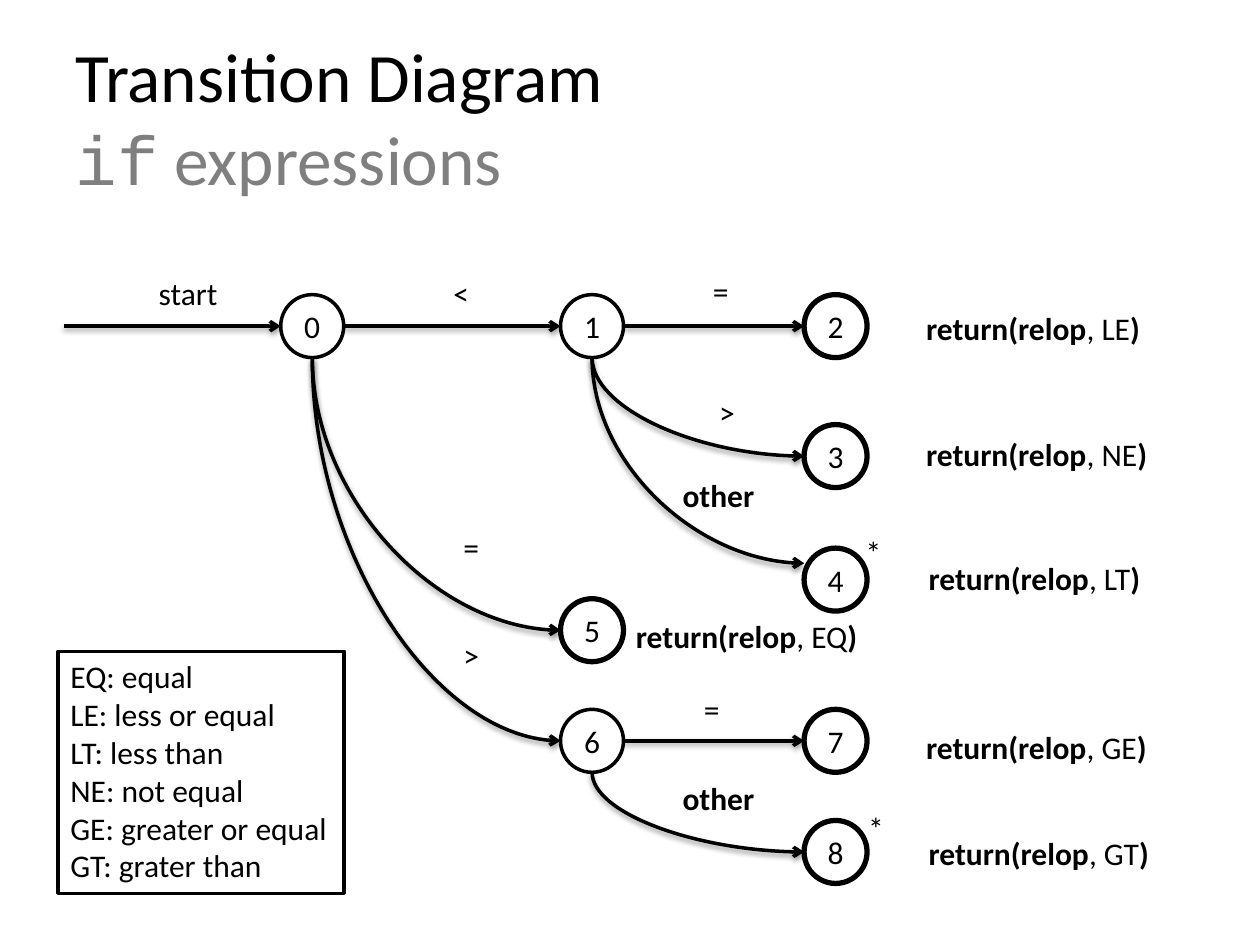
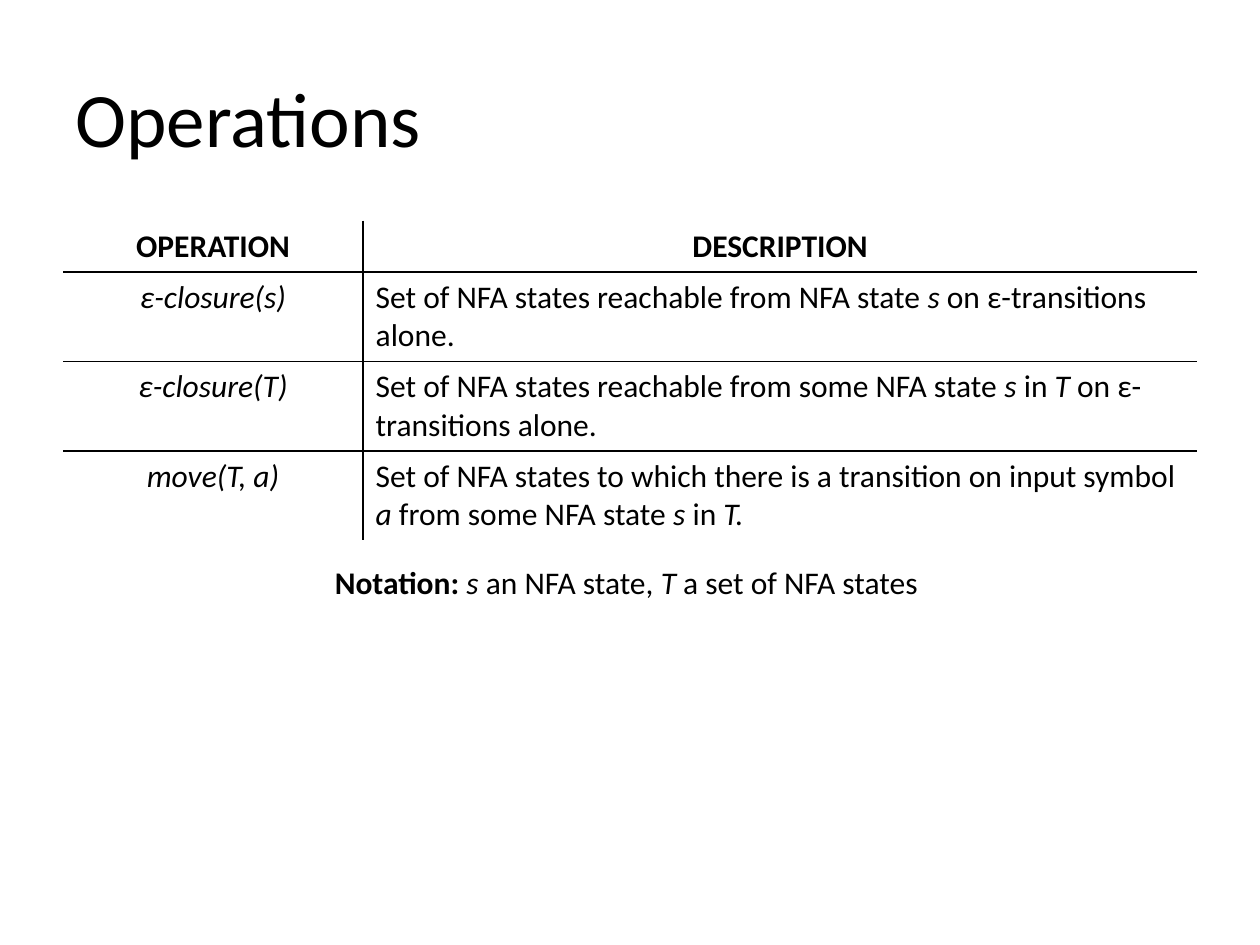
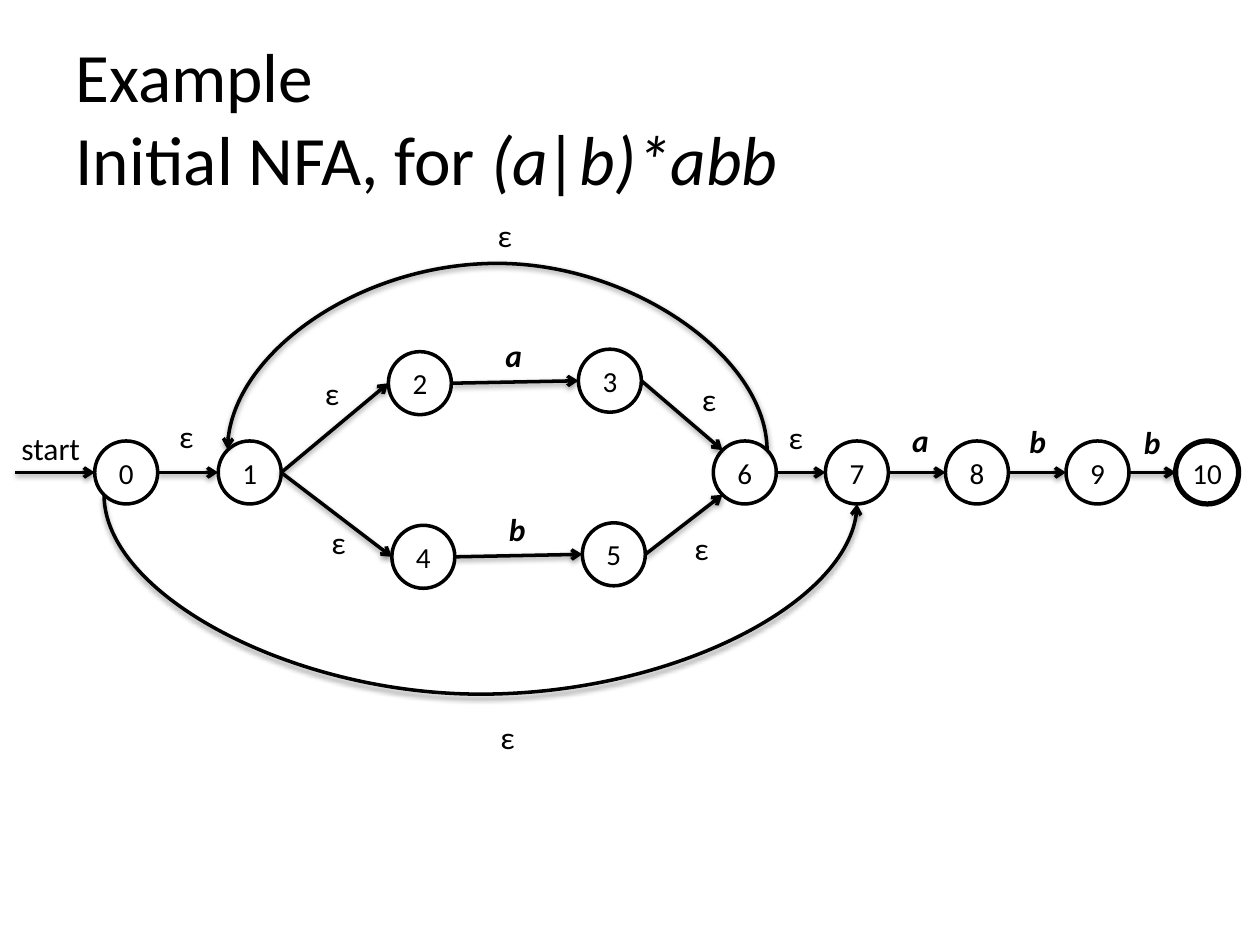
import math
from dataclasses import dataclass
from enum import IntEnum

from lxml import etree
from pptx import Presentation
from pptx import util as u
from pptx.dml.color import RGBColor
from pptx.enum import shapes, text
from pptx.oxml.ns import qn

COLORS = {"ink": "000000", "muted": "7F7F7F", "paper": "FFFFFF"}
BODY_FONT, CODE_FONT = "Calibri", "Courier New"
TITLE_SIZE, TWO_LINE_TITLE_SIZE, BODY_SIZE = 44, 39.6, 18
TITLE_ONLY = 5
NODE_SIZE = 1.27
LABEL_HEIGHT = 1.02
LABEL_WIDTHS = {"start": 1.73, "other": 1.98}
SYMBOL_WIDTH, ACTION_WIDTH = 0.84, 5
PLAIN_TABLE_STYLE = "{2D5ABB26-0587-4C30-8999-92F81FD0307C}"


@dataclass
class Box:
    left: float
    top: float
    width: float
    height: float

    def inner(self, x, y, width, height):
        return Box(self.left + x, self.top + y, width, height)

    def lengths(self):
        return [u.Cm(value) for value in (self.left, self.top, self.width, self.height)]


class Site(IntEnum):
    TOP = 0
    TOP_LEFT = 1
    LEFT = 2
    BOTTOM_LEFT = 3
    BOTTOM = 4
    BOTTOM_RIGHT = 5
    RIGHT = 6
    TOP_RIGHT = 7


def color(name):
    return RGBColor.from_string(COLORS[name])


def style_paragraph(paragraph, size=BODY_SIZE, align=text.PP_ALIGN.LEFT):
    paragraph.alignment = align
    paragraph.font.name = BODY_FONT
    paragraph.font.size = u.Pt(size)
    paragraph.font.color.rgb = color("ink")


def write(paragraph, pieces, size=BODY_SIZE, align=text.PP_ALIGN.LEFT):
    style_paragraph(paragraph, size, align)
    for words, style in pieces:
        run = paragraph.add_run()
        run.text = words
        if "b" in style:
            run.font.bold = True
        if "i" in style:
            run.font.italic = True
        if "m" in style:
            run.font.color.rgb = color("muted")
        if "c" in style:
            run.font.name = CODE_FONT


def add_titled_slide(presentation, lines, size):
    slide = presentation.slides.add_slide(presentation.slide_layouts[TITLE_ONLY])
    title = slide.shapes.title
    title.left, title.top, title.width, title.height = Box(1.27, 0.76, 22.86, 3.18).lengths()
    frame = title.text_frame
    frame.auto_size = text.MSO_AUTO_SIZE.NONE
    frame.vertical_anchor = text.MSO_ANCHOR.MIDDLE
    paragraph = frame.paragraphs[0]
    for index, pieces in enumerate(lines):
        if index:
            paragraph.add_line_break()
        write(paragraph, pieces, size)
    return slide


def add_text(slide, box, pieces):
    frame = slide.shapes.add_textbox(*box.lengths()).text_frame
    frame.word_wrap = False
    write(frame.paragraphs[0], pieces)


def add_labels(slide, box, labels):
    for words, style, x, y in labels:
        width = LABEL_WIDTHS.get(words, SYMBOL_WIDTH)
        add_text(slide, box.inner(x, y, width, LABEL_HEIGHT), [(words, style)])


def add_outlined_shape(slide, kind, box, line_width):
    shape = slide.shapes.add_shape(kind, *box.lengths())
    shape.shadow.inherit = False
    shape.fill.solid()
    shape.fill.fore_color.rgb = color("paper")
    shape.line.color.rgb = color("ink")
    shape.line.width = u.Pt(line_width)
    shape.text_frame.word_wrap = False
    return shape


def add_nodes(slide, box, positions, accepting, size):
    nodes = {}
    for name, (x, y) in positions.items():
        node_box = box.inner(x, y, NODE_SIZE, NODE_SIZE)
        node = add_outlined_shape(slide, shapes.MSO_SHAPE.OVAL, node_box, 3 if name in accepting else 2)
        node.text_frame.vertical_anchor = text.MSO_ANCHOR.MIDDLE
        write(node.text_frame.paragraphs[0], [(str(name), "")], size, text.PP_ALIGN.CENTER)
        nodes[name] = node
    return nodes


def site_point(node, site):
    radius = node.width / 2
    angle = site * math.pi / 4
    return (round(node.left + radius - radius * math.sin(angle)),
            round(node.top + radius - radius * math.cos(angle)))


def add_arrow(slide, start, end, kind=shapes.MSO_CONNECTOR.STRAIGHT):
    arrow = slide.shapes.add_connector(kind, *start, *end)
    arrow.line.color.rgb = color("ink")
    arrow.line.width = u.Pt(2)
    properties = arrow._element.spPr
    etree.SubElement(properties.find(qn("a:ln")), qn("a:tailEnd"), type="arrow")
    effects = etree.SubElement(properties, qn("a:effectLst"))
    shadow = etree.SubElement(effects, qn("a:outerShdw"), blurRad="40000", dist="20000",
                              dir="5400000", rotWithShape="0")
    shade = etree.SubElement(shadow, qn("a:srgbClr"), val=COLORS["ink"])
    etree.SubElement(shade, qn("a:alpha"), val="38000")
    return arrow


def glue(arrow, tag, node, site):
    ends = arrow._element.nvCxnSpPr.cNvCxnSpPr
    etree.SubElement(ends, qn(tag), id=str(node.shape_id), idx=str(int(site)))


def add_link(slide, source, target, source_site=Site.RIGHT, target_site=Site.LEFT):
    arrow = add_arrow(slide, site_point(source, source_site), site_point(target, target_site))
    glue(arrow, "a:stCxn", source, source_site)
    glue(arrow, "a:endCxn", target, target_site)


def add_curve(slide, source, target, source_site=Site.BOTTOM, target_site=Site.LEFT,
              depth=None, raised=0):
    start, (end_x, end_y) = site_point(source, source_site), site_point(target, target_site)
    end = end_x, end_y - u.Cm(raised)
    arrow = add_arrow(slide, start, end, shapes.MSO_CONNECTOR.CURVE)
    rise = max(abs(end[1] - start[1]), u.Cm(0.03))
    run = abs(end[0] - start[0])
    frame = arrow._element.spPr.find(qn("a:xfrm"))
    for flip in ("flipH", "flipV"):
        frame.attrib.pop(flip, None)
    frame.set("rot", "16200000")
    frame.set("flipH" if end[0] > start[0] else "flipV", "1")
    arrow.left = round((start[0] + end[0] - rise) / 2)
    arrow.top = round((start[1] + end[1] - run) / 2)
    arrow.width, arrow.height = rise, run
    geometry = arrow._element.spPr.find(qn("a:prstGeom"))
    if depth is None:
        geometry.set("prst", "curvedConnector2")
    else:
        guides = geometry.find(qn("a:avLst"))
        bend = round(u.Cm(depth) / rise * 100000)
        etree.SubElement(guides, qn("a:gd"), name="adj1", fmla=f"val {bend}")
    glue(arrow, "a:stCxn", source, source_site)
    if not raised:
        glue(arrow, "a:endCxn", target, target_site)


def add_start(slide, node, length):
    x, y = site_point(node, Site.LEFT)
    arrow = add_arrow(slide, (x - u.Cm(length), y), (x, y))
    glue(arrow, "a:endCxn", node, Site.LEFT)


def draw_relop_diagram(slide, box):
    left, middle, right = 4.46, 10.1, 15.01
    positions = {0: (left, 0.54), 1: (middle, 0.54), 2: (right, 0.54), 3: (right, 3.16),
                 4: (right, 5.65), 5: (middle, 6.67), 6: (middle, 8.9), 7: (right, 8.9),
                 8: (right, 11.14)}
    nodes = add_nodes(slide, box, positions, {2, 3, 4, 5, 7, 8}, BODY_SIZE)
    add_start(slide, nodes[0], 4.37)
    for source, target in ((0, 1), (1, 2), (6, 7)):
        add_link(slide, nodes[source], nodes[target])
    for source, target in ((1, 3), (0, 5), (0, 6), (6, 8)):
        add_curve(slide, nodes[source], nodes[target])
    add_curve(slide, nodes[1], nodes[4], raised=0.33)
    add_labels(slide, box, [
        ("start", "", 1.75, 0), ("<", "", 7.69, 0), ("=", "", 12.92, -0.04),
        (">", "", 13.05, 2.4), ("other", "b", 12.31, 4.07), ("=", "", 7.89, 5.12),
        (">", "", 7.89, 7.3), ("=", "", 12.74, 8.39), ("other", "b", 12.31, 10.17),
        ("*", "", 16, 5.22), ("*", "", 16.05, 10.78)])
    for token, x, y in (("LE", 17.22, 0.7), ("NE", 17.22, 3.24), ("LT", 17.27, 5.75),
                        ("EQ", 11.37, 6.92), ("GE", 17.22, 9.15), ("GT", 17.27, 11.29)):
        add_text(slide, box.inner(x, y, ACTION_WIDTH, LABEL_HEIGHT),
                 [("return(relop", "b"), (f", {token}", ""), (")", "b")])


def draw_legend(slide, box):
    entries = ["EQ: equal", "LE: less or equal", "LT: less than", "NE: not equal",
               "GE: greater or equal", "GT: grater than"]
    legend = add_outlined_shape(slide, shapes.MSO_SHAPE.RECTANGLE, box, 2)
    frame = legend.text_frame
    frame.vertical_anchor = text.MSO_ANCHOR.TOP
    frame.text = "\n".join(entries)
    for paragraph in frame.paragraphs:
        style_paragraph(paragraph)


def add_border(cell, side):
    line = etree.SubElement(cell._tc.get_or_add_tcPr(), qn(f"a:{side}"), w="12700")
    fill = etree.SubElement(line, qn("a:solidFill"))
    etree.SubElement(fill, qn("a:srgbClr"), val=COLORS["ink"])


def draw_operations_table(slide, box):
    rows = [
        ([("OPERATION", "b")], [("DESCRIPTION", "b")]),
        ([("ε-closure(s)", "i")],
         [("Set of NFA states reachable from NFA state ", ""), ("s", "i"),
          (" on ε-transitions alone.", "")]),
        ([("ε-closure(T)", "i")],
         [("Set of NFA states reachable from some NFA state ", ""), ("s ", "i"), ("in", ""),
          (" T", "i"), (" on ε-transitions alone.", "")]),
        ([("move(T, a)", "i")],
         [("Set of NFA states to which there is a transition on input symbol ", ""), ("a", "i"),
          (" from some NFA state ", ""), ("s", "i"), (" in ", ""), ("T.", "i")]),
    ]
    table = slide.shapes.add_table(len(rows), 2, *box.lengths()).table
    table.first_row = table.horz_banding = False
    table._tbl.tblPr.find(qn("a:tableStyleId")).text = PLAIN_TABLE_STYLE
    name_width, header_height = 6.05, 1.02
    table.columns[0].width = u.Cm(name_width)
    table.columns[1].width = u.Cm(box.width - name_width)
    row_height = (box.height - header_height) / (len(rows) - 1)
    for row_index, row in enumerate(rows):
        table.rows[row_index].height = u.Cm(row_height if row_index else header_height)
        for column_index, pieces in enumerate(row):
            cell = table.cell(row_index, column_index)
            centred = row_index == 0 or column_index == 0
            write(cell.text_frame.paragraphs[0], pieces,
                  align=text.PP_ALIGN.CENTER if centred else text.PP_ALIGN.LEFT)
            add_border(cell, "lnL" if column_index else "lnR")
            if row_index:
                add_border(cell, "lnT")
            if row_index < len(rows) - 1:
                add_border(cell, "lnB")
            cell.fill.background()


def draw_nfa(slide, box):
    axis = 4.69
    positions = {0: (1.73, axis), 1: (4.22, axis), 2: (7.65, 2.89), 3: (11.48, 2.84),
                 4: (7.72, 6.39), 5: (11.56, 6.34), 6: (14.2, axis), 7: (16.46, axis),
                 8: (18.88, axis), 9: (21.31, axis), 10: (23.52, axis)}
    nodes = add_nodes(slide, box, positions, {10}, 16.6)
    add_start(slide, nodes[0], 1.6)
    for source, target in ((0, 1), (1, 2), (1, 4), (2, 3), (4, 5), (6, 7), (7, 8), (8, 9), (9, 10)):
        add_link(slide, nodes[source], nodes[target])
    add_link(slide, nodes[3], nodes[6], target_site=Site.TOP_LEFT)
    add_link(slide, nodes[5], nodes[6], target_site=Site.BOTTOM_LEFT)
    add_curve(slide, nodes[0], nodes[7], Site.BOTTOM_LEFT, Site.BOTTOM, depth=4.02)
    add_curve(slide, nodes[6], nodes[1], Site.TOP_RIGHT, Site.TOP_LEFT, depth=3.78)
    epsilons = [(9.6, 0.04), (6.12, 3.22), (13.72, 3.34), (3.18, 4.08), (15.47, 4.11),
                (6.25, 6.21), (13.57, 6.34), (9.66, 10.15)]
    add_labels(slide, box, [("ε", "", x, y) for x, y in epsilons])
    add_labels(slide, box, [
        ("start", "", 0, 4.33), ("a", "bi", 9.76, 2.45), ("b", "bi", 9.83, 5.96),
        ("a", "bi", 17.96, 4.16), ("b", "bi", 20.32, 4.18), ("b", "bi", 22.63, 4.21)])


def main():
    presentation = Presentation()
    presentation.slide_width, presentation.slide_height = u.Cm(25.4), u.Cm(19.05)

    slide = add_titled_slide(presentation, [[("Transition Diagram", "")],
                                            [("if", "cm"), (" expressions", "m")]],
                             TWO_LINE_TITLE_SIZE)
    draw_relop_diagram(slide, Box(1.2, 5.4, 22.5, 12.4))
    draw_legend(slide, Box(1.17, 13.13, 5.77, 4.88))

    slide = add_titled_slide(presentation, [[("Operations", "")]], TITLE_SIZE)
    draw_operations_table(slide, Box(1.27, 4.45, 22.86, 6.42))
    add_text(slide, Box(6.5, 11.23, 12.6, LABEL_HEIGHT),
             [("Notation:", "b"), (" s", "i"), (" an NFA state, ", ""), ("T", "i"),
              (" a set of NFA states", "")])

    slide = add_titled_slide(presentation, [[("Example", "")],
                                            [("Initial NFA, for ", ""), ("(a|b)*abb", "i")]],
                             TWO_LINE_TITLE_SIZE)
    draw_nfa(slide, Box(0.18, 4.2, 24.8, 11.2))

    presentation.save("out.pptx")


if __name__ == "__main__":
    main()
